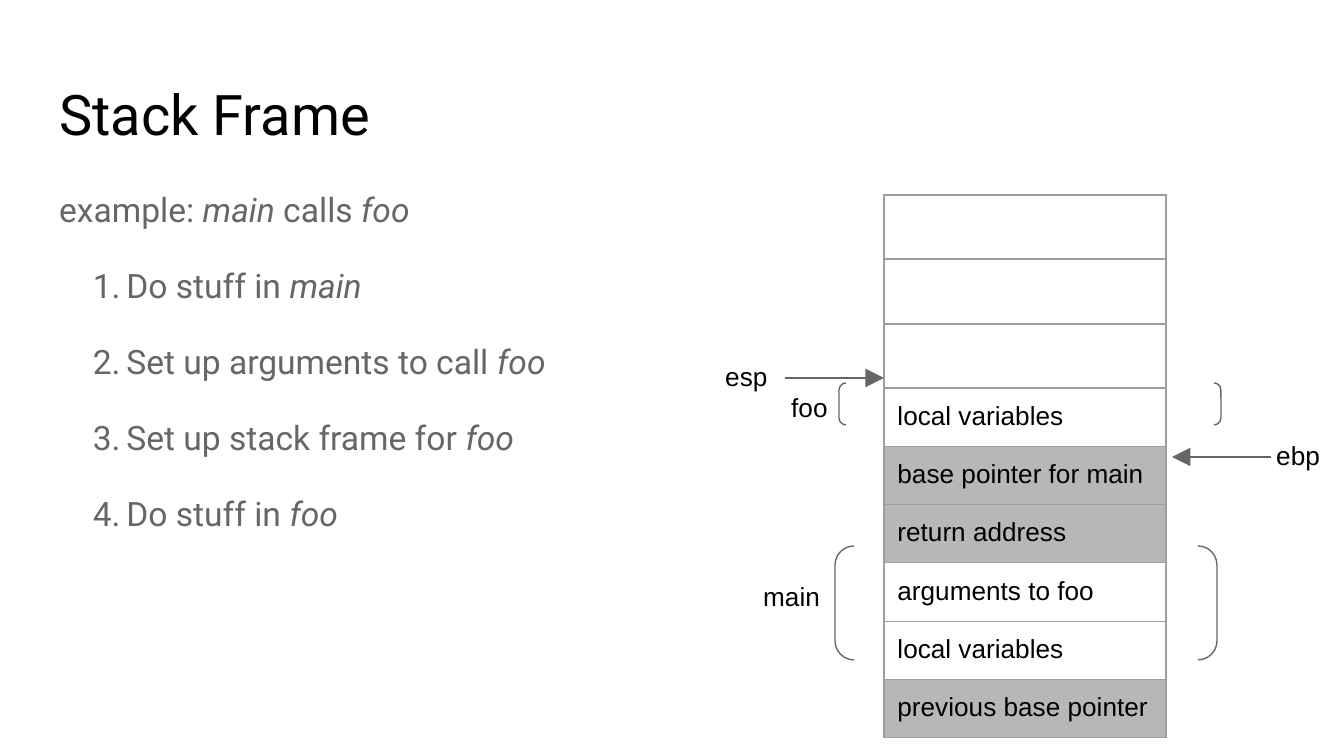
import pptx
import pptx.dml.color
import pptx.enum.shapes
import pptx.oxml
import pptx.oxml.ns
import pptx.util

SCALE = 914400 / 134.4  # EMU per px
BLACK = pptx.dml.color.RGBColor(0x00, 0x00, 0x00)
GRAY = pptx.dml.color.RGBColor(0x66, 0x66, 0x66)
FILL = pptx.dml.color.RGBColor(0xB7, 0xB7, 0xB7)
BORDER = pptx.dml.color.RGBColor(0x9E, 0x9E, 0x9E)
NAMESPACE = pptx.oxml.ns.nsdecls("a")

# Content: runs are (text, italic)
TITLE = "Stack Frame"
INTRO = [("example: ", False), ("main", True), (" calls ", False), ("foo", True)]
STEPS = [
    [("Do stuff in ", False), ("main", True)],
    [("Set up arguments to call ", False), ("foo", True)],
    [("Set up stack frame for ", False), ("foo", True)],
    [("Do stuff in ", False), ("foo", True)],
]
# Stack rows: text, height, shaded
STACK = [
    ("", 64, False),
    ("", 65, False),
    ("", 64, False),
    ("local variables", 58, False),
    ("base pointer for main", 57, True),
    ("return address", 58, True),
    ("arguments to foo", 56, False),
    ("local variables", 56, False),
    ("previous base pointer", 56, True),
]
STACK_LEFT, STACK_TOP, STACK_WIDTH = 884, 195, 282
BRACKETS = [(835, 546, 382, 114), (839, 383, 382, 42)]
ARROWS = [(1271, 457, 1172, 457), (785, 378, 884, 378)]
LABELS = [
    ("main", (750, 567, 333, 114)),
    ("ebp", (1263, 426, 152, 62)),
    ("esp", (712, 347, 152, 62)),
    ("foo", (778, 378, 333, 114)),
]

TITLE_FORMAT = {"name": "Roboto", "size": pptx.util.Pt(30), "color": BLACK}
BODY_FORMAT = {"name": "Roboto", "size": pptx.util.Pt(18), "color": GRAY}
LABEL_FORMAT = {"name": "Arial", "size": pptx.util.Pt(14), "color": BLACK}
MARGINS = ("margin_left", "margin_top", "margin_right", "margin_bottom")


def px(*values):
    return [pptx.util.Emu(round(value * SCALE)) for value in values]


def add_run(paragraph, text, text_format, italic=False):
    run = paragraph.add_run()
    run.text = text
    run.font.italic = italic
    for name, value in text_format.items():
        if name == "color":
            run.font.color.rgb = value
        else:
            setattr(run.font, name, value)


def set_margins(target):
    for name in MARGINS:
        setattr(target, name, pptx.util.Inches(0.1))


def add_text(slide, box, paragraphs, text_format):
    frame = slide.shapes.add_textbox(*px(*box)).text_frame
    frame.word_wrap = True
    set_margins(frame)
    for index, runs in enumerate(paragraphs):
        paragraph = frame.add_paragraph() if index else frame.paragraphs[0]
        for text, italic in runs:
            add_run(paragraph, text, text_format, italic)
    return frame


def number_paragraph(paragraph):
    properties = paragraph._p.get_or_add_pPr()
    properties.set("marL", str(pptx.util.Inches(0.5)))
    properties.set("indent", str(pptx.util.Inches(-0.25)))
    for xml in (
        f'<a:buClr {NAMESPACE}><a:srgbClr val="{GRAY}"/></a:buClr>',
        f'<a:buFont {NAMESPACE} typeface="Roboto"/>',
        f'<a:buAutoNum {NAMESPACE} type="arabicPeriod"/>',
    ):
        properties.append(pptx.oxml.parse_xml(xml))


def add_borders(cell):
    properties = cell._tc.get_or_add_tcPr()
    for side in "LRTB":
        properties.append(pptx.oxml.parse_xml(
            f'<a:ln{side} {NAMESPACE} w="9525"><a:solidFill>'
            f'<a:srgbClr val="{BORDER}"/></a:solidFill></a:ln{side}>'))


def add_stack(slide):
    height = sum(row[1] for row in STACK)
    box = px(STACK_LEFT, STACK_TOP, STACK_WIDTH, height)
    table = slide.shapes.add_table(len(STACK), 1, *box).table
    table.first_row = table.horz_banding = False
    for index, (text, row_height, shaded) in enumerate(STACK):
        table.rows[index].height = px(row_height)[0]
        cell = table.cell(index, 0)
        add_borders(cell)
        if shaded:
            cell.fill.solid()
            cell.fill.fore_color.rgb = FILL
        else:
            cell.fill.background()
        if text:
            set_margins(cell)
            add_run(cell.text_frame.paragraphs[0], text, LABEL_FORMAT)


def style_line(line):
    line.color.rgb = GRAY
    line.width = pptx.util.Pt(0.75)


def add_bracket(slide, box):
    shape = slide.shapes.add_shape(
        pptx.enum.shapes.MSO_SHAPE.DOUBLE_BRACKET, *px(*box))
    shape.shadow.inherit = False
    shape.fill.background()
    style_line(shape.line)


def add_arrow(slide, points):
    connector = slide.shapes.add_connector(
        pptx.enum.shapes.MSO_CONNECTOR.STRAIGHT, *px(*points))
    style_line(connector.line)
    connector.line._get_or_add_ln().append(pptx.oxml.parse_xml(
        f'<a:tailEnd {NAMESPACE} type="triangle" w="lg" len="lg"/>'))
    connector._element.spPr.append(
        pptx.oxml.parse_xml(f"<a:effectLst {NAMESPACE}/>"))


def main():
    presentation = pptx.Presentation()
    presentation.slide_width, presentation.slide_height = px(1344, 756)
    slide = presentation.slides.add_slide(presentation.slide_layouts[6])

    # Title and numbered steps
    add_text(slide, (46, 66, 1253, 85), [[(TITLE, False)]], TITLE_FORMAT)
    body = add_text(slide, (46, 169, 1253, 503), [INTRO] + STEPS, BODY_FORMAT)
    for paragraph in body.paragraphs:
        paragraph.line_spacing = 1.15
        paragraph.space_after = pptx.util.Pt(16)
    for paragraph in body.paragraphs[1:]:
        number_paragraph(paragraph)

    # Stack with its brackets, pointers and labels
    add_stack(slide)
    for box in BRACKETS:
        add_bracket(slide, box)
    for points in ARROWS:
        add_arrow(slide, points)
    for text, box in LABELS:
        add_text(slide, box, [[(text, False)]], LABEL_FORMAT)

    presentation.save("out.pptx")


if __name__ == "__main__":
    main()
